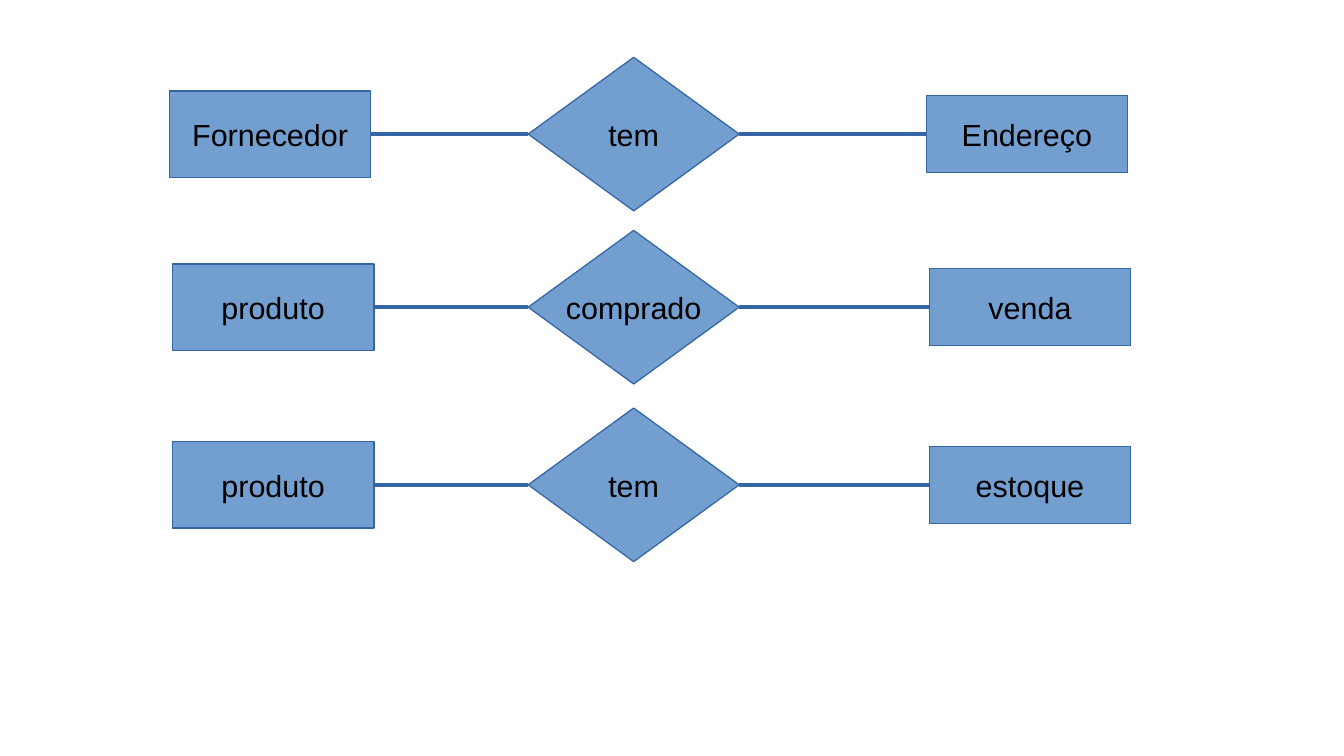
from pptx import Presentation
from pptx.dml.color import RGBColor
from pptx.enum.shapes import MSO_CONNECTOR, MSO_SHAPE
from pptx.enum.text import MSO_ANCHOR, PP_ALIGN
from pptx.oxml.ns import qn
from pptx.util import Pt
from lxml import etree

RECT, DIAMOND = MSO_SHAPE.RECTANGLE, MSO_SHAPE.DIAMOND
LINE = MSO_CONNECTOR.STRAIGHT
MIDDLE, CENTER = MSO_ANCHOR.MIDDLE, PP_ALIGN.CENTER

BLUE = RGBColor(0x72, 0x9F, 0xCF)
EDGE = RGBColor(0x34, 0x65, 0xA4)
BLACK = RGBColor(0, 0, 0)


def write(frame, text, font="Arial", size=18, color=BLACK, align=CENTER):
    frame.word_wrap = False
    frame.vertical_anchor = MIDDLE
    frame.margin_left = frame.margin_right = Pt(7.2)
    frame.margin_top = frame.margin_bottom = Pt(3.6)
    par = frame.paragraphs[0]
    par.alignment = align
    run = par.add_run()
    run.text = text
    run.font.name = font
    run.font.size = Pt(size)
    run.font.color.rgb = color


class Chart:
    """Draws entities, relations and links on one slide."""

    fill, edge, width = BLUE, EDGE, 0

    def __init__(self, slide):
        self.shapes = slide.shapes

    def stroke(self, line):
        line.color.rgb = self.edge
        line.width = Pt(self.width)

    def node(self, kind, text, left, mid, wide, high):
        box = self.shapes.add_shape(
            kind, Pt(left), Pt(mid - high / 2), Pt(wide), Pt(high))
        box.shadow.inherit = False
        box.fill.solid()
        box.fill.fore_color.rgb = self.fill
        self.stroke(box.line)
        write(box.text_frame, text)

    def entity(self, text, left, mid, high):
        self.node(RECT, text, left, mid, SIDE, high)

    def relation(self, text, left, mid):
        self.node(DIAMOND, text, left, mid, CORE, 90.7)

    def link(self, start, end, mid):
        link = self.shapes.add_connector(
            LINE, Pt(start), Pt(mid), Pt(end), Pt(mid))
        self.stroke(link.line)
        etree.SubElement(link._element.spPr, qn("a:effectLst"))


# Column places and widths
LEFT, HUB, RIGHT = 100, 311.8, 546.8
SIDE, CORE = 119, 124.6

# Each row: middle height, shift of the entities, labels
ROWS = [
    (79.2, 0, "Fornecedor", "tem", "Endereço"),
    (181.4, 1.8, "produto", "comprado", "venda"),
    (286.3, 1.8, "produto", "tem", "estoque"),
]


def main():
    deck = Presentation()
    deck.slide_width, deck.slide_height = Pt(793.44), Pt(446.4)
    chart = Chart(deck.slides.add_slide(deck.slide_layouts[6]))

    for mid, shift, owner, verb, target in ROWS:
        left, right = LEFT + shift, RIGHT + shift
        # Entities
        chart.entity(target, right, mid, 45.4)
        chart.entity(owner, left, mid, 51)
        # Links and relation
        chart.link(HUB + CORE, right, mid)
        chart.link(left + SIDE, HUB, mid)
        chart.relation(verb, HUB, mid)

    deck.save("out.pptx")


if __name__ == "__main__":
    main()
